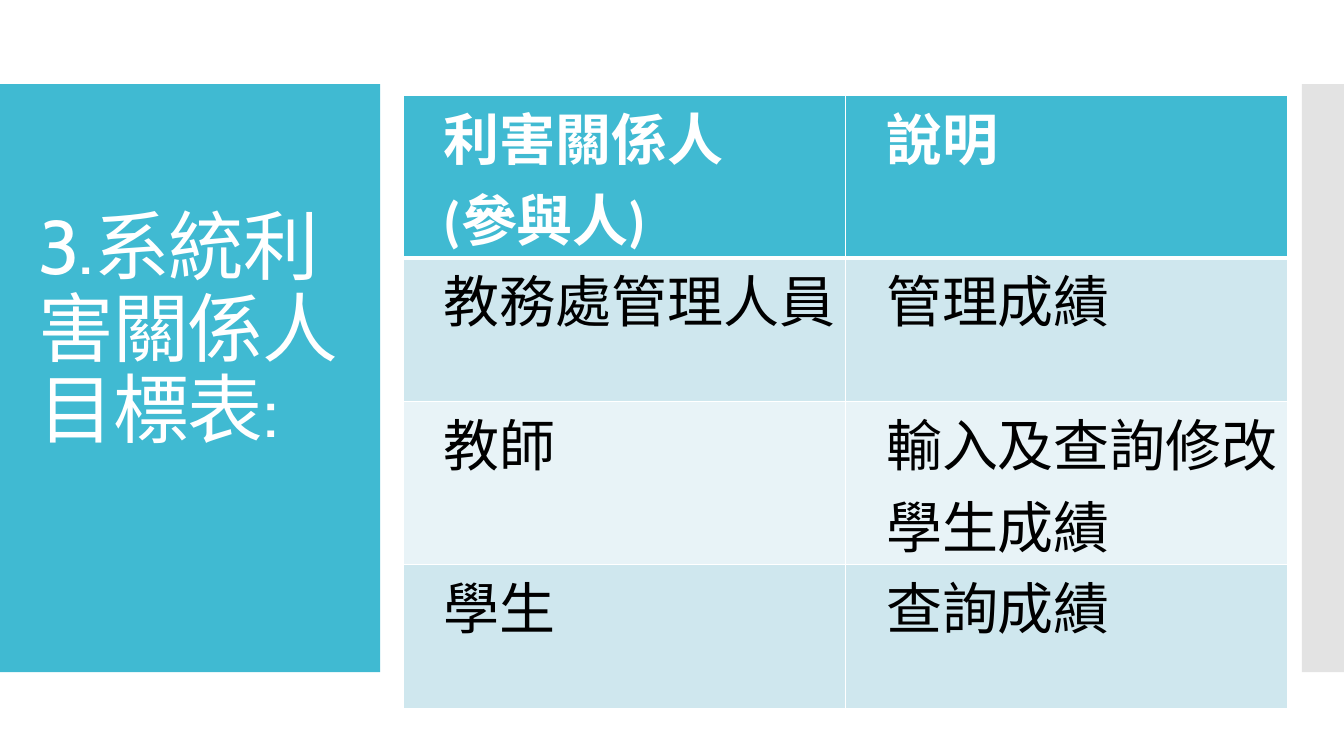
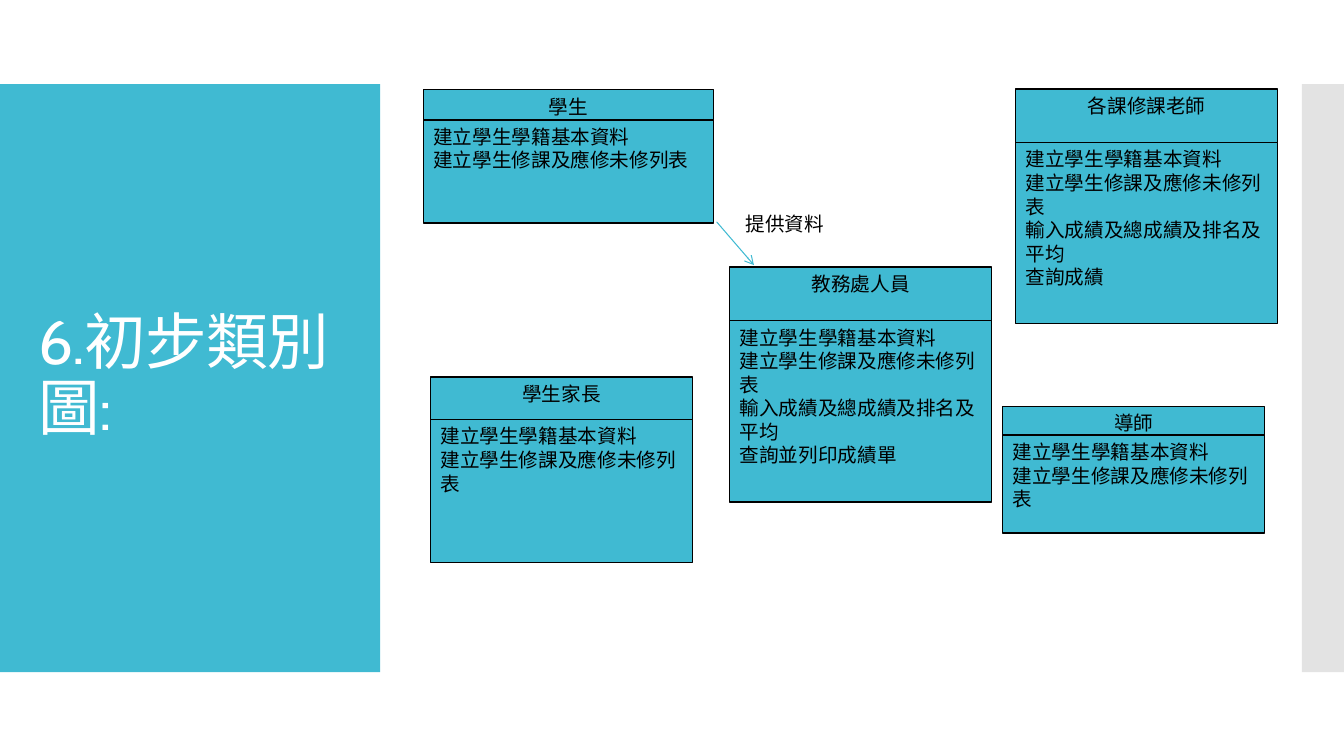
from lxml.etree import SubElement
from pptx import Presentation
from pptx.dml.color import RGBColor
from pptx.enum.shapes import MSO_CONNECTOR as Connector, MSO_SHAPE as Shape
from pptx.enum.text import MSO_ANCHOR as Anchor, MSO_AUTO_SIZE as AutoSize, PP_ALIGN as Align
from pptx.oxml.ns import qn
from pptx.util import Cm, Pt

TEAL = RGBColor(0x40, 0xBA, 0xD2)
GREY = RGBColor(0xC8, 0xC8, 0xC8)
WHITE = RGBColor(0xFF, 0xFF, 0xFF)
BLACK = RGBColor(0x00, 0x00, 0x00)
ROW_DARK = RGBColor(0xCF, 0xE7, 0xEE)
ROW_LIGHT = RGBColor(0xE8, 0xF3, 0xF7)

HEADING_FONT = "Cabin"
TABLE_FONT = "Calibri"
SERIF_FONT = "Times New Roman"


class Style:
    """Holds the deck, its shared look and the current slide."""

    def __init__(self):
        self.deck = Presentation()
        self.deck.slide_width, self.deck.slide_height = Cm(33.87), Cm(19.05)
        self.layout = self.deck.slide_layouts[5]
        self.slide = None
        title = self.layout.placeholders[0]
        title.left, title.top, title.width, title.height = Cm(0.71), Cm(3.12), Cm(8.18), Cm(12.78)

    def new_slide(self, title, size, lift=0):
        first = self.slide is None
        self.slide = self.deck.slides.add_slide(self.layout)
        if first:
            self.side_bands()
        frame = self.slide.shapes.title.text_frame
        frame.text = title
        frame.word_wrap, frame.auto_size = True, AutoSize.NONE
        frame.vertical_anchor = Anchor.MIDDLE
        frame.margin_bottom = Cm(0.13 + lift)
        para = frame.paragraphs[0]
        para.alignment, para.line_spacing = Align.LEFT, 0.9
        self.format_runs(para, size, WHITE)
        for span in para.runs:
            span._r.get_or_add_rPr().set("spc", "-60")

    def side_bands(self):
        """Draw the two bands and hand them to the layout, so every slide shows them."""
        bands = ((0, 9.58, TEAL), (32.81, 1.06, GREY))
        for number, (left, width, color) in enumerate(bands):
            band = self.box(self.slide.shapes, left, 2.12, width, 14.82, color)
            if color == GREY:
                tint = band.element.spPr.find(".//" + qn("a:srgbClr"))
                SubElement(tint, qn("a:alpha")).set("val", "50000")
            band.element.nvSpPr.cNvPr.set("id", str(20 + number))
            self.layout.shapes.element.append(band.element)

    def format_runs(self, para, size, color, font=HEADING_FONT, bold=False, east_asian=True):
        for span in para.runs:
            span.font.size, span.font.bold, span.font.name = Pt(size), bold, font
            span.font.color.rgb = color
            if east_asian:
                SubElement(span._r.get_or_add_rPr(), qn("a:ea")).set("typeface", HEADING_FONT)

    def box(self, shapes, left, top, width, height, fill, outline=None):
        box = shapes.add_shape(Shape.RECTANGLE, Cm(left), Cm(top), Cm(width), Cm(height))
        box.shadow.inherit = False
        box.fill.solid()
        box.fill.fore_color.rgb = fill
        if outline is None:
            box.line.fill.background()
        else:
            box.line.color.rgb, box.line.width = outline, Pt(1)
        return box

    def fill_text(self, box, text, align=Align.LEFT, font=HEADING_FONT):
        frame = box.text_frame
        frame.text = text
        frame.word_wrap, frame.vertical_anchor = True, Anchor.TOP
        for para in frame.paragraphs:
            para.alignment = align
            self.format_runs(para, 14, BLACK, font)

    def class_box(self, left, top, width, head, body, name, duties, font=HEADING_FONT):
        """A class as a group: name compartment above duty compartment."""
        shapes = self.slide.shapes.add_group_shape().shapes
        name_box = self.box(shapes, left, top, width, head, TEAL, BLACK)
        self.fill_text(name_box, name, Align.CENTER, font)
        duty_box = self.box(shapes, left, top + head, width, body, TEAL, BLACK)
        self.fill_text(duty_box, "\n".join(duties))

    def arrow(self, start, end):
        points = [Cm(value) for value in start + end]
        connector = self.slide.shapes.add_connector(Connector.STRAIGHT, *points)
        connector.line.color.rgb, connector.line.width = TEAL, Pt(0.75)
        outline = connector.element.spPr.find(qn("a:ln"))
        SubElement(outline, qn("a:tailEnd")).set("type", "arrow")
        SubElement(connector.element.spPr, qn("a:effectLst"))

    def label(self, left, top, width, height, text):
        box = self.slide.shapes.add_textbox(Cm(left), Cm(top), Cm(width), Cm(height))
        self.fill_text(box, text)

    def table(self, left, top, column_width, row_height, rows):
        columns = len(rows[0])
        frame = self.slide.shapes.add_table(
            len(rows), columns, Cm(left), Cm(top),
            Cm(column_width * columns), Cm(row_height * len(rows)))
        for row in frame.table.rows:
            row.height = Cm(row_height)
        for row_number, texts in enumerate(rows):
            for column, text in enumerate(texts):
                self.cell(frame.table.cell(row_number, column), text, row_number)

    def cell(self, cell, text, row):
        header = row == 0
        cell.text_frame.text = text
        cell.margin_left = cell.margin_right = Cm(0.18)
        cell.margin_top = cell.margin_bottom = 0
        cell.fill.solid()
        cell.fill.fore_color.rgb = TEAL if header else ROW_DARK if row % 2 else ROW_LIGHT
        for para in cell.text_frame.paragraphs:
            para.line_spacing = Pt(58)
            properties = para._p.get_or_add_pPr()
            properties.set("marL", str(Cm(0.84)))
            properties.set("indent", "0")
            self.format_runs(para, 40, WHITE if header else BLACK, TABLE_FONT, header, False)
        # White rules, with a heavier one under the header
        widths = {"lnL": 1, "lnR": 1, "lnT": 3 if row == 1 else 1, "lnB": 3 if header else 1}
        properties = cell._tc.get_or_add_tcPr()
        for position, (side, width) in enumerate(widths.items()):
            rule = SubElement(properties, qn("a:" + side))
            rule.set("w", str(Pt(width)))
            fill = SubElement(rule, qn("a:solidFill"))
            SubElement(fill, qn("a:srgbClr")).set("val", str(WHITE))
            properties.insert(position, rule)


def main():
    style = Style()

    # Stakeholder table
    style.new_slide("3.系統利害關係人目標表:", 54, lift=2.3)
    style.table(10.16, 2.4, 11.15, 3.63, [
        ("利害關係人\n(參與人)", "說明"),
        ("教務處管理人員", "管理成績"),
        ("教師", "輸入及查詢修改學生成績"),
        ("學生", "查詢成績"),
    ])

    # Class diagram
    style.new_slide("6.初步類別圖:", 44)
    basic = ["建立學生學籍基本資料", "建立學生修課及應修未修列表"]
    grading = basic + ["輸入成績及總成績及排名及平均"]
    style.class_box(10.67, 2.26, 7.32, 0.76, 2.6, "學生", basic)
    style.class_box(10.85, 9.5, 6.6, 1.07, 3.6, "學生家長", basic)
    style.class_box(18.39, 6.73, 6.6, 1.35, 4.57, "教務處人員",
                    grading + ["查詢並列印成績單"], SERIF_FONT)
    style.class_box(25.27, 10.24, 6.6, 0.72, 2.47, "導師", basic, SERIF_FONT)
    style.class_box(25.6, 2.24, 6.6, 1.35, 4.57, "各課修課老師",
                    grading + ["查詢成績"], SERIF_FONT)
    style.arrow((18.06, 5.59), (19, 6.68))
    style.label(18.54, 5.21, 2.72, 0.86, "提供資料")

    style.deck.save("out.pptx")


if __name__ == "__main__":
    main()
